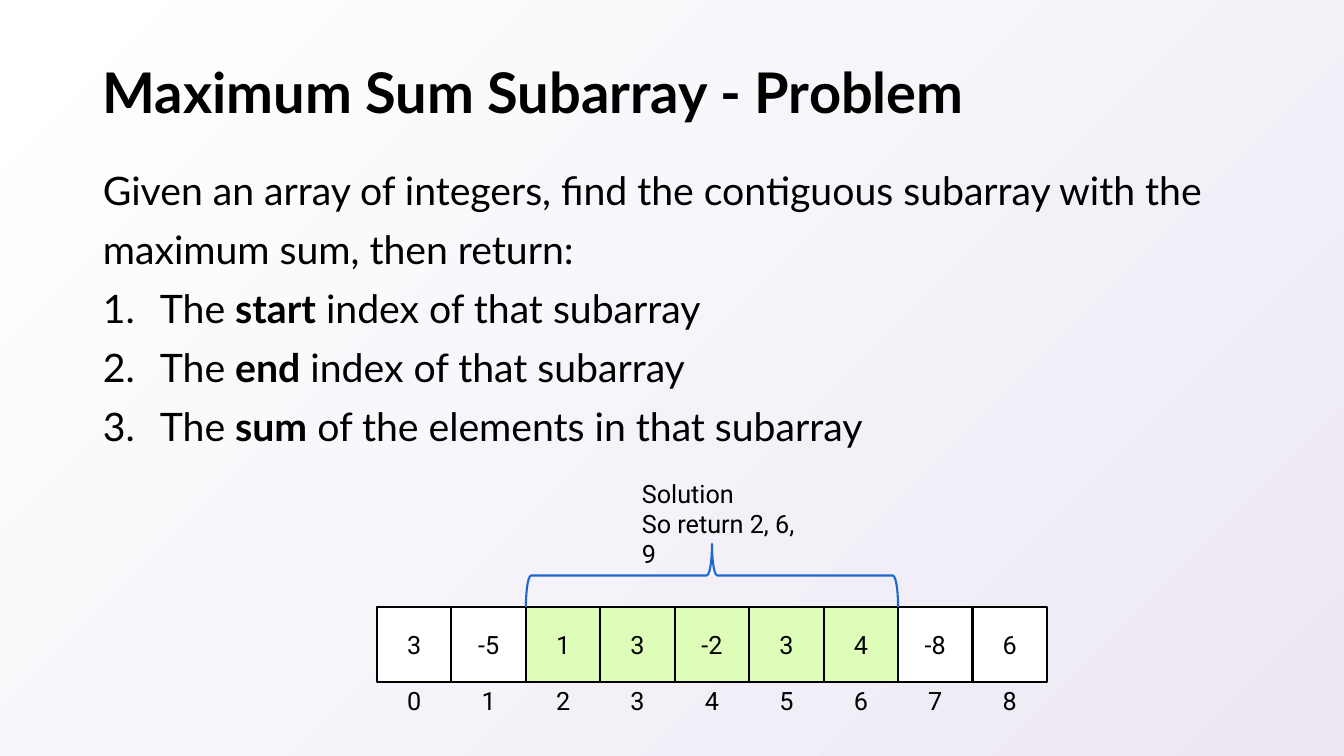
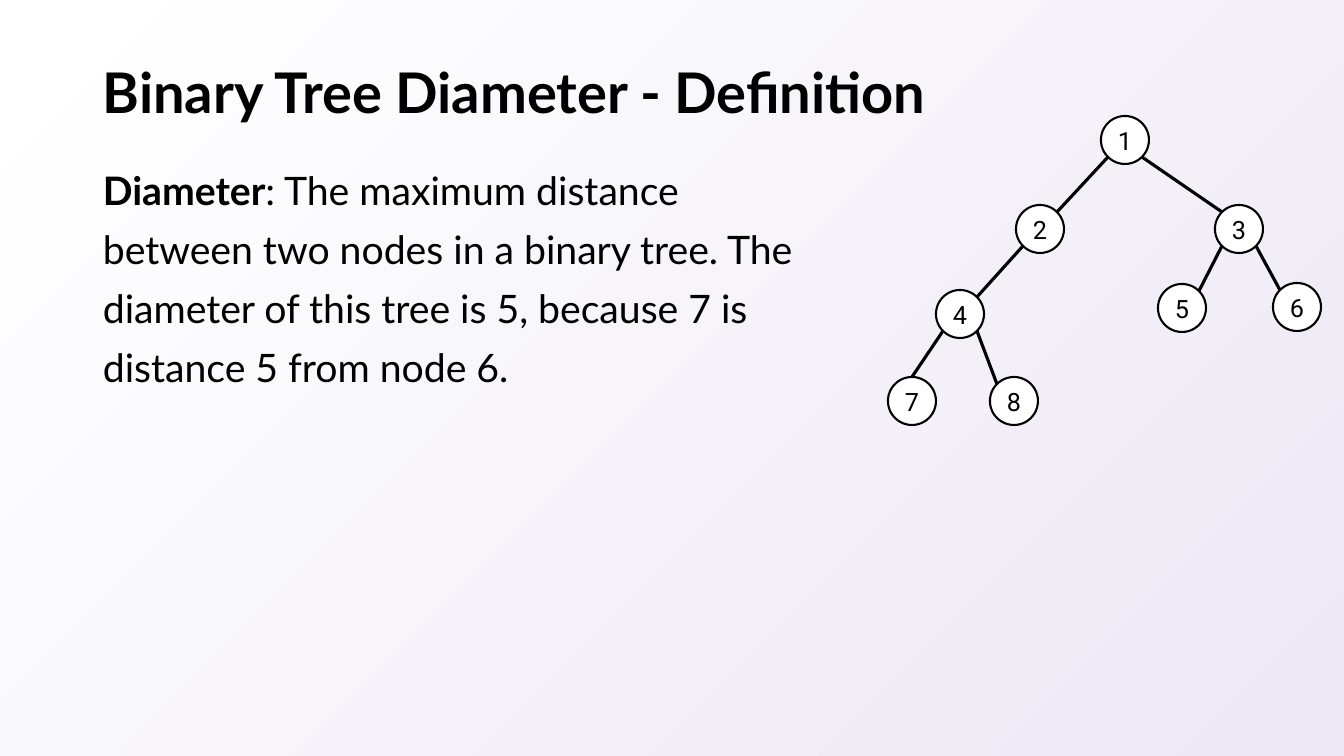
from lxml import etree
from pptx import Presentation
from pptx import util as u
from pptx.dml.color import RGBColor
from pptx.enum import shapes, text
from pptx.oxml import ns

SLIDE_W, SLIDE_H = 1344, 756
SCALE = u.Inches(7.5) / SLIDE_H
COLORS = {
    "ink": "000000",
    "paper": "FFFFFF",
    "lilac": "EDE8F4",
    "solution": "DEFDB9",
    "brace": "1E68CD",
}
TITLE_BOX = (93, 40, 1159, 110)
BODY_LEFT, BODY_TOP, BODY_H = 93, 150, 530
LIST_INDENT = 57
NODE = 48


def px(length):
    return u.Emu(round(length * SCALE))


def rgb(name):
    return RGBColor.from_string(COLORS[name])


def write(shape, lines, font="Roboto", size=18, bold=False, align="LEFT",
          anchor="TOP", spacing=None, numbered_from=None, inset=True):
    """Fill a shape with paragraphs; text between asterisks is bold."""
    frame = shape.text_frame
    frame.word_wrap = True
    frame.vertical_anchor = getattr(text.MSO_ANCHOR, anchor)
    if not inset:
        frame.margin_left = frame.margin_right = 0
        frame.margin_top = frame.margin_bottom = 0
    for i, line in enumerate(lines):
        paragraph = frame.paragraphs[0] if i == 0 else frame.add_paragraph()
        paragraph.alignment = getattr(text.PP_ALIGN, align)
        if spacing:
            paragraph.line_spacing = spacing
        if numbered_from is not None and i >= numbered_from:
            props = paragraph._p.get_or_add_pPr()
            props.set("marL", str(px(LIST_INDENT)))
            props.set("indent", str(-px(LIST_INDENT)))
            number = etree.SubElement(props, ns.qn("a:buAutoNum"))
            number.set("type", "arabicPeriod")
        for j, part in enumerate(line.split("*")):
            if not part:
                continue
            run = paragraph.add_run()
            run.text = part
            run.font.name = font
            run.font.size = u.Pt(size)
            run.font.bold = bold or j % 2 == 1
            run.font.color.rgb = rgb("ink")


def add_text(parent, box, lines, **style):
    label = parent.shapes.add_textbox(*map(px, box))
    write(label, lines, **style)


def add_outlined(parent, kind, box, fill=None, line="ink"):
    shape = parent.shapes.add_shape(kind, *map(px, box))
    shape.shadow.inherit = False
    if fill:
        shape.fill.solid()
        shape.fill.fore_color.rgb = rgb(fill)
    else:
        shape.fill.background()
    shape.line.color.rgb = rgb(line)
    shape.line.width = u.Pt(1.5)
    return shape


def add_value(parent, kind, box, value, fill="paper"):
    shape = add_outlined(parent, kind, box, fill)
    write(shape, [str(value)], align="CENTER", anchor="MIDDLE", inset=False)


def paint_background(prs):
    fill = prs.slide_master.background.fill
    fill.gradient()
    fill.gradient_angle = 315
    for stop, name in zip(fill.gradient_stops, ("paper", "lilac")):
        stop.color.rgb = rgb(name)


def add_content_slide(prs, title, body, body_w, numbered_from=None):
    slide = prs.slides.add_slide(prs.slide_layouts[6])
    add_text(slide, TITLE_BOX, [title], font="Lato", size=40, bold=True,
             anchor="MIDDLE", spacing=0.9)
    add_text(slide, (BODY_LEFT, BODY_TOP, body_w, BODY_H), body, font="Lato",
             size=28, spacing=1.25, numbered_from=numbered_from)
    return slide


def draw_array(slide, box, values, start, end, caption):
    """Cells with indices below, and a brace over cells start to end."""
    left, top, width, height = box
    step = width / len(values)
    array = slide.shapes.add_group_shape()
    for i, value in enumerate(values):
        x = left + i * step
        fill = "solution" if start <= i <= end else "paper"
        add_value(array, shapes.MSO_SHAPE.RECTANGLE, (x, top, step, height),
                  value, fill)
        add_text(array, (x, top + 56, step, height), [str(i)],
                 align="CENTER", anchor="MIDDLE", inset=False)

    # Brace, turned to point upwards
    depth, span = 63, (end - start + 1) * step
    center_x = left + start * step + span / 2
    center_y = top - depth / 2
    brace = add_outlined(
        array, shapes.MSO_SHAPE.RIGHT_BRACE,
        (center_x - depth / 2, center_y - span / 2, depth, span), line="brace")
    brace.rotation = 270

    # Solution caption
    add_text(array, (center_x - 80, top - 134, 185, 72), caption)


def draw_tree(slide, box, nodes, edges):
    """Nodes are centres within the box; edges join the named node sites."""
    left, top = box
    tree = slide.shapes.add_group_shape()
    diagonal = NODE / 2 * 0.71
    sites = {
        "top": (0, -NODE / 2),
        "top left": (-diagonal, -diagonal),
        "top right": (diagonal, -diagonal),
        "bottom left": (-diagonal, diagonal),
        "bottom right": (diagonal, diagonal),
    }

    def site(node, name):
        (x, y), (dx, dy) = nodes[node], sites[name]
        return px(left + x + dx), px(top + y + dy)

    for value, (x, y) in nodes.items():
        add_value(tree, shapes.MSO_SHAPE.OVAL,
                  (left + x - NODE / 2, top + y - NODE / 2, NODE, NODE), value)
    for parent, parent_site, child, child_site in edges:
        edge = tree.shapes.add_connector(
            shapes.MSO_CONNECTOR.STRAIGHT,
            *site(parent, parent_site), *site(child, child_site))
        edge.line.color.rgb = rgb("ink")
        edge.line.width = u.Pt(2.25)
        etree.SubElement(edge._element.spPr, ns.qn("a:effectLst"))


def subarray_slide(prs):
    slide = add_content_slide(
        prs, "Maximum Sum Subarray - Problem",
        ["Given an array of integers, find the contiguous subarray with the "
         "maximum sum, then return:",
         "The *start* index of that subarray",
         "The *end* index of that subarray",
         "The *sum* of the elements in that subarray"],
        body_w=1159, numbered_from=1)
    draw_array(slide, (377, 607, 670, 75), [3, -5, 1, 3, -2, 3, 4, -8, 6],
               start=2, end=6, caption=["Solution", "So return 2, 6, 9"])


def diameter_slide(prs):
    slide = add_content_slide(
        prs, "Binary Tree Diameter - Definition",
        ["*Diameter*: The maximum distance between two nodes in a binary "
         "tree. The diameter of this tree is 5, because 7 is distance 5 "
         "from node 6."],
        body_w=718)
    nodes = {1: (237, 24), 2: (152, 113), 3: (351, 113), 4: (72, 198),
             7: (24, 285), 8: (126, 285), 5: (294, 192), 6: (409, 191)}
    edges = [
        (1, "bottom left", 2, "top right"),
        (2, "bottom left", 4, "top right"),
        (4, "bottom left", 7, "top"),
        (4, "bottom right", 8, "top left"),
        (1, "bottom right", 3, "top left"),
        (3, "bottom left", 5, "top right"),
        (3, "bottom right", 6, "top left"),
    ]
    draw_tree(slide, (888, 116), nodes, edges)


def main():
    prs = Presentation()
    prs.slide_width, prs.slide_height = px(SLIDE_W), px(SLIDE_H)
    paint_background(prs)
    subarray_slide(prs)
    diameter_slide(prs)
    prs.save("out.pptx")


if __name__ == "__main__":
    main()
